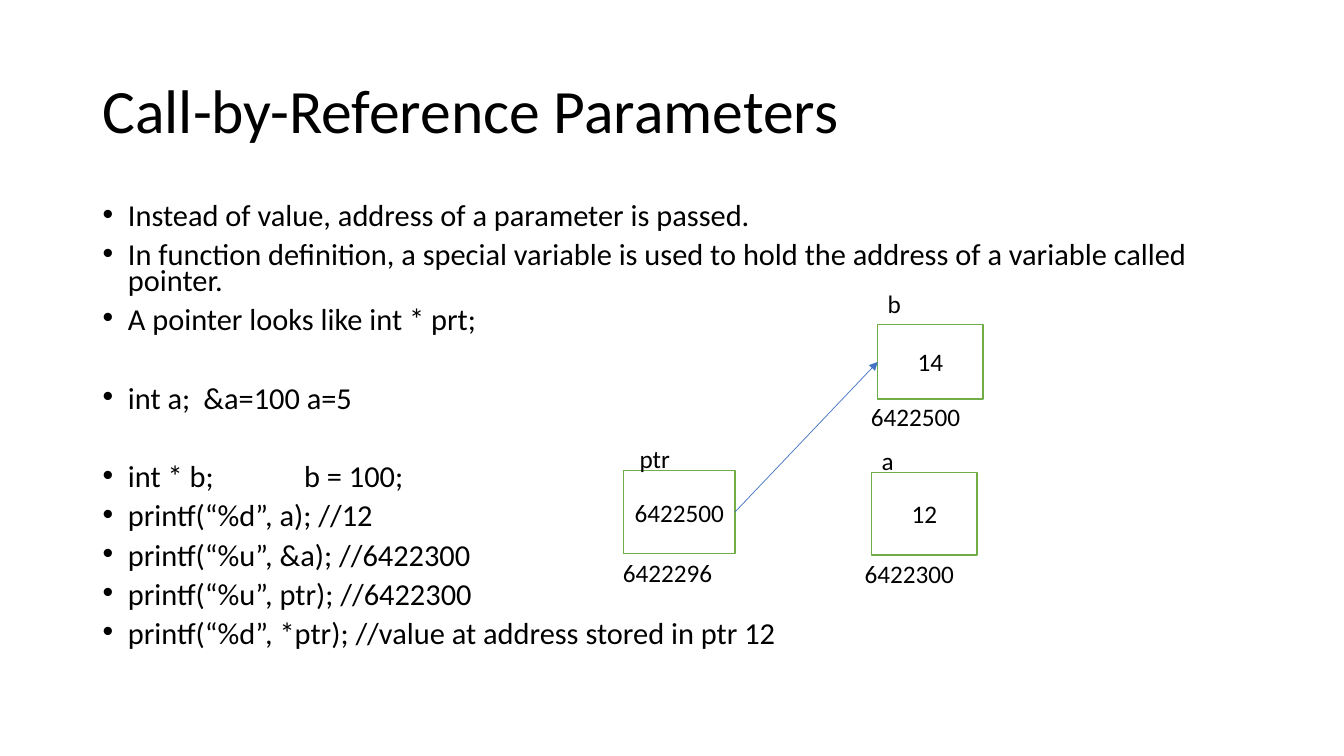
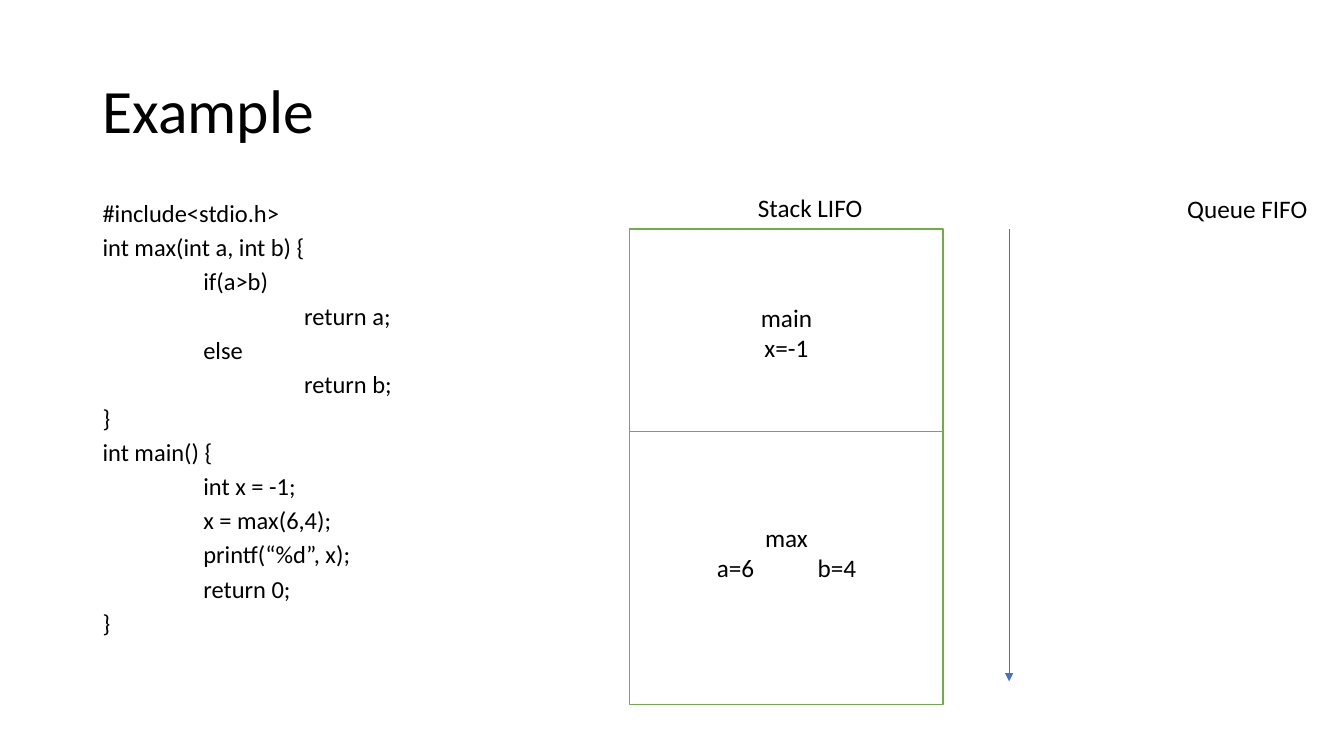
"""Build two slides on pointers and the call stack in C."""
import pptx
import pptx.dml.color
import pptx.enum.shapes
import pptx.enum.text
import pptx.oxml
import pptx.oxml.ns
import pptx.util

Cm = pptx.util.Cm
Pt = pptx.util.Pt
ALIGN = pptx.enum.text.PP_ALIGN
ANCHOR = pptx.enum.text.MSO_ANCHOR
HUES = {"text": "000000", "fill": "FFFFFF", "edge": "70AD47", "arrow": "4472C4"}
HUES = {name: pptx.dml.color.RGBColor.from_string(code) for name, code in HUES.items()}
FONT = "Calibri"
TAB = Cm(2.54)
HANG = Cm(0.64)
NS = pptx.oxml.ns.nsdecls("a")


def put(frame, text, size=18, align=ALIGN.LEFT, anchor=ANCHOR.TOP, wrap=True,
        lead=1.0, gap=0, wide=(), bullet=False):
    """Fill a text frame; lines whose index is in wide get a larger gap."""
    frame.auto_size = pptx.enum.text.MSO_AUTO_SIZE.NONE
    frame.word_wrap = wrap
    frame.vertical_anchor = anchor
    for i, line in enumerate(text.split("\n")):
        para = frame.add_paragraph() if i else frame.paragraphs[0]
        props = para._p.get_or_add_pPr()
        props.set("marL", str(HANG if bullet else 0))
        props.set("indent", str(-HANG if bullet else 0))
        props.set("defTabSz", str(TAB))
        if bullet:
            props.append(pptx.oxml.parse_xml(f'<a:buFont {NS} typeface="Arial"/>'))
        mark = f'<a:buChar {NS} char="•"/>' if bullet else f"<a:buNone {NS}/>"
        props.append(pptx.oxml.parse_xml(mark))
        para.alignment = align
        para.line_spacing = lead
        para.space_before = Pt(0 if i == 0 else 38 if i in wide else gap)
        run = para.add_run()
        run.text = line
        run.font.size = Pt(size)
        run.font.name = FONT
        run.font.color.rgb = HUES["text"]


POINTS = """Instead of value, address of a parameter is passed.
In function definition, a special variable is used to hold the address of a variable called pointer.
A pointer looks like int * prt;
int a;\t&a=100 a=5
int * b;\tb = 100;
printf(“%d”, a); //12
printf(“%u”, &a); //6422300
printf(“%u”, ptr); //6422300
printf(“%d”, *ptr); //value at address stored in ptr 12"""

CODE = """#include<stdio.h>
int max(int a, int b) {
\tif(a>b)
\t\treturn a;
\telse
\t\treturn b;
}
int main() {
\tint x = -1;
\tx = max(6,4);
\tprintf(“%d”, x);
\treturn 0;
}"""

PAGES = [
    {
        "title": "Call-by-Reference Parameters",
        "body": POINTS,
        "style": {"size": 21.7, "bullet": True, "wide": (3, 4)},
        "boxes": [
            ("6422500", 15.72, 11.86, 2.8, 2.09),
            ("12", 21.97, 11.9, 2.65, 2.09),
            ("14", 22.12, 8.18, 2.65, 1.88),
        ],
        "labels": [
            ("ptr", 15.87, 11.05, 1.3),
            ("6422296", 15.45, 13.91, 2.79),
            ("a", 21.97, 11.1, 0.81),
            ("6422300", 21.54, 13.95, 2.79),
            ("b", 22.12, 7.14, 0.81),
            ("6422500", 21.7, 10, 2.79),
        ],
        "arrow": (18.52, 12.9, 22.12, 9.12),
        "joins": (0, 2),
    },
    {
        "title": "Example",
        "body": CODE,
        "style": {"size": 17.5},
        "boxes": [
            ("main\nx=-1", 15.87, 5.77, 7.9, 5.21),
            ("max\na=6\tb=4", 15.87, 10.87, 7.9, 6.88),
        ],
        "labels": [
            ("Stack LIFO", 18.85, 4.72, 3.18),
            ("Queue FIFO", 29.67, 4.75, 3.58),
        ],
        "arrow": (25.43, 5.77, 25.43, 17.17),
        "joins": (),
    },
]

deck = pptx.Presentation()
deck.slide_width = Cm(33.87)
deck.slide_height = Cm(19.05)

for page in PAGES:
    slide = deck.slides.add_slide(deck.slide_layouts[1])
    shapes = slide.shapes
    title, body = slide.placeholders
    for holder, top, height in ((title, 1.01, 3.68), (body, 5.07, 12.09)):
        holder.left, holder.top = Cm(2.33), Cm(top)
        holder.width, holder.height = Cm(29.21), Cm(height)
    put(title.text_frame, page["title"], size=44, anchor=ANCHOR.MIDDLE, lead=0.9)
    put(body.text_frame, page["body"], lead=0.7, gap=9.7, **page["style"])

    boxes = []
    for text, *place in page["boxes"]:
        box = shapes.add_shape(pptx.enum.shapes.MSO_SHAPE.RECTANGLE, *map(Cm, place))
        box.shadow.inherit = False
        box.fill.solid()
        box.fill.fore_color.rgb = HUES["fill"]
        box.line.color.rgb = HUES["edge"]
        box.line.width = Pt(1)
        put(box.text_frame, text, align=ALIGN.CENTER, anchor=ANCHOR.MIDDLE)
        if text.startswith("max"):
            box.text_frame.margin_bottom = Cm(0.9)
        boxes.append(box)

    for text, left, top, width in page["labels"]:
        label = shapes.add_textbox(Cm(left), Cm(top), Cm(width), Cm(1.03))
        put(label.text_frame, text, wrap=False)

    arrow = shapes.add_connector(
        pptx.enum.shapes.MSO_CONNECTOR.STRAIGHT, *map(Cm, page["arrow"]))
    if page["joins"]:
        start, end = page["joins"]
        arrow.begin_connect(boxes[start], 3)
        arrow.end_connect(boxes[end], 1)
    arrow.line.color.rgb = HUES["arrow"]
    arrow.line.width = Pt(0.5)
    arrow.line._get_or_add_ln().append(
        pptx.oxml.parse_xml(f'<a:tailEnd {NS} type="triangle"/>'))
    arrow._element.spPr.append(pptx.oxml.parse_xml(f"<a:effectLst {NS}/>"))

deck.save("out.pptx")
